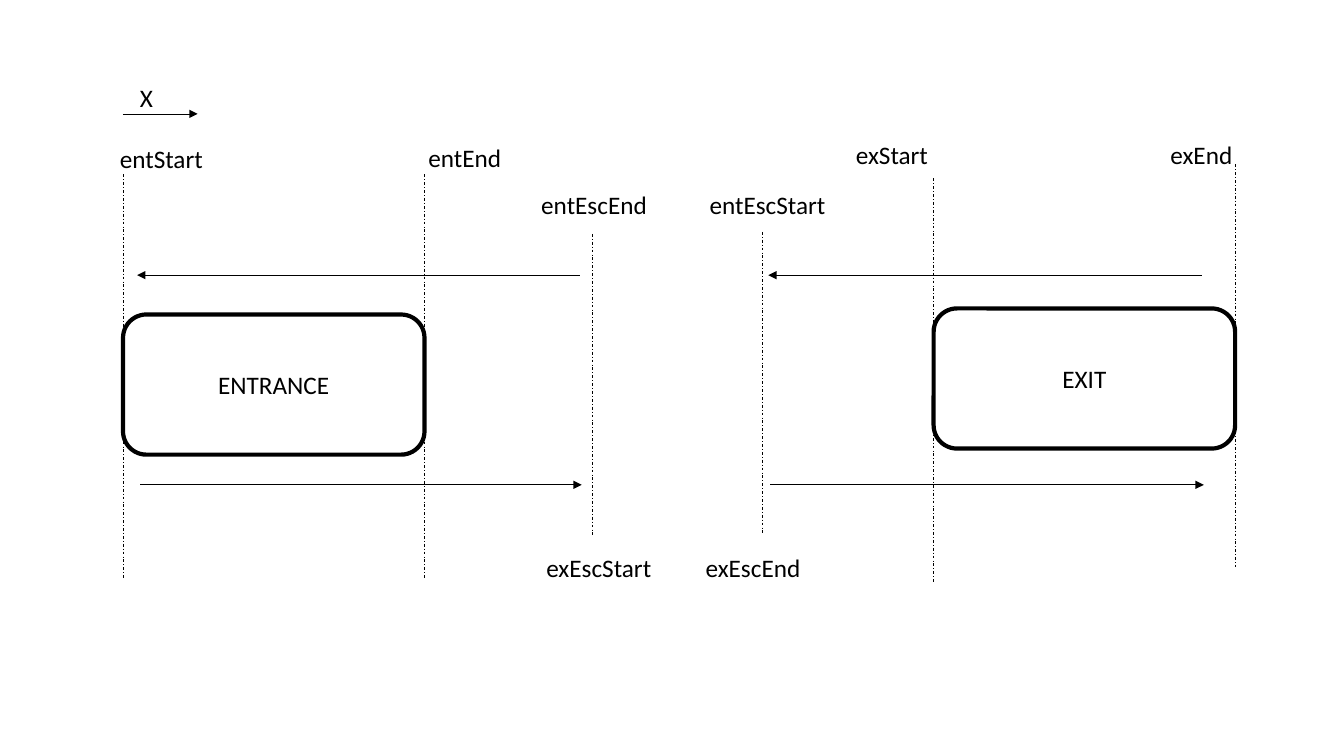
from lxml import etree
from pptx import Presentation as Deck
from pptx.dml.color import RGBColor
from pptx.enum.dml import MSO_LINE as Dash
from pptx.enum.shapes import MSO_CONNECTOR as Link, MSO_SHAPE as Shape
from pptx.enum.text import MSO_ANCHOR as Anchor, MSO_AUTO_SIZE as Fit, PP_ALIGN as Align
from pptx.oxml.ns import qn
from pptx.util import Inches, Pt

BLACK = RGBColor(0, 0, 0)
CELL = 0.1
WIDE, HIGH = 133.3, 75


def grid(*cells):
    return [Inches(cell * CELL) for cell in cells]


class Sketch:
    font, size, thin, thick = "Calibri", Pt(18), Pt(0.5), Pt(3)

    def __init__(self, slide):
        self.slide = slide

    def letter(self, shape, text, align):
        shape.text_frame.text = text
        para = shape.text_frame.paragraphs[0]
        para.alignment = align
        font = para.runs[0].font
        font.name, font.size = self.font, self.size
        font.color.rgb = BLACK

    def box(self, left, top, text):
        shape = self.slide.shapes.add_shape(
            Shape.ROUNDED_RECTANGLE, *grid(left, top, SPAN, 13.9))
        shape.shadow.inherit = False
        shape.fill.background()
        shape.line.color.rgb = BLACK
        shape.line.width = self.thick
        shape.text_frame.vertical_anchor = Anchor.MIDDLE
        self.letter(shape, text, Align.CENTER)

    def label(self, left, top, width, text):
        shape = self.slide.shapes.add_textbox(*grid(left, top, width, 4))
        shape.text_frame.word_wrap = False
        shape.text_frame.auto_size = Fit.SHAPE_TO_FIT_TEXT
        self.letter(shape, text, Align.LEFT)

    def line(self, *ends):
        link = self.slide.shapes.add_connector(Link.STRAIGHT, *grid(*ends))
        link.line.color.rgb = BLACK
        link.line.width = self.thin
        etree.SubElement(link._element.spPr, qn("a:effectLst"))
        return link

    def arrow(self, start, end, row):
        link = self.line(start, row, end, row)
        stroke = link._element.spPr.find(qn("a:ln"))
        etree.SubElement(stroke, qn("a:tailEnd"), type="triangle")

    def guide(self, col, top, length):
        link = self.line(col, top, col, top + length)
        link.line.dash_style = Dash.DASH_DOT


SPAN = 29.9
ENTRY, EXIT = 12.2, 92.6
LEFT, RIGHT = 27.3, 48.1
LONG, SHORT = 40, 30

BOXES = [(ENTRY, 31.2, "ENTRANCE"), (EXIT, 30.6, "EXIT")]
LABELS = [
    (41.5, 13.6, 9.3, "entEnd"),
    (10.9, 13.7, 10.3, "entStart"),
    (83.9, 13.3, 9.2, "exStart"),
    (115.1, 13.3, 8.2, "exEnd"),
    (52.7, 18.3, 12.6, "entEscEnd"),
    (69.4, 18.3, 13.6, "entEscStart"),
    (53.2, 54.3, 12.5, "exEscStart"),
    (69, 54.3, 11.5, "exEscEnd"),
    (12.9, 7.7, 3.3, "X"),
]
ARROWS = [
    (119.2, 76.2, LEFT),
    (57.5, 13.6, LEFT),
    (76.4, 119.4, RIGHT),
    (13.9, 57.7, RIGHT),
    (ENTRY, 19.6, 11.3),
]
GUIDES = [
    (ENTRY, 17.3, LONG),
    (ENTRY + SPAN, 17.3, LONG),
    (75.6, 23, SHORT),
    (EXIT, 17.7, LONG),
    (EXIT + SPAN, 16.3, LONG),
    (58.8, 23.2, SHORT),
]


def main():
    deck = Deck()
    deck.slide_width, deck.slide_height = grid(WIDE, HIGH)
    sketch = Sketch(deck.slides.add_slide(deck.slide_layouts[6]))
    for draw, items in (
        (sketch.box, BOXES),
        (sketch.label, LABELS),
        (sketch.arrow, ARROWS),
        (sketch.guide, GUIDES),
    ):
        for item in items:
            draw(*item)
    deck.save("out.pptx")


if __name__ == "__main__":
    main()
